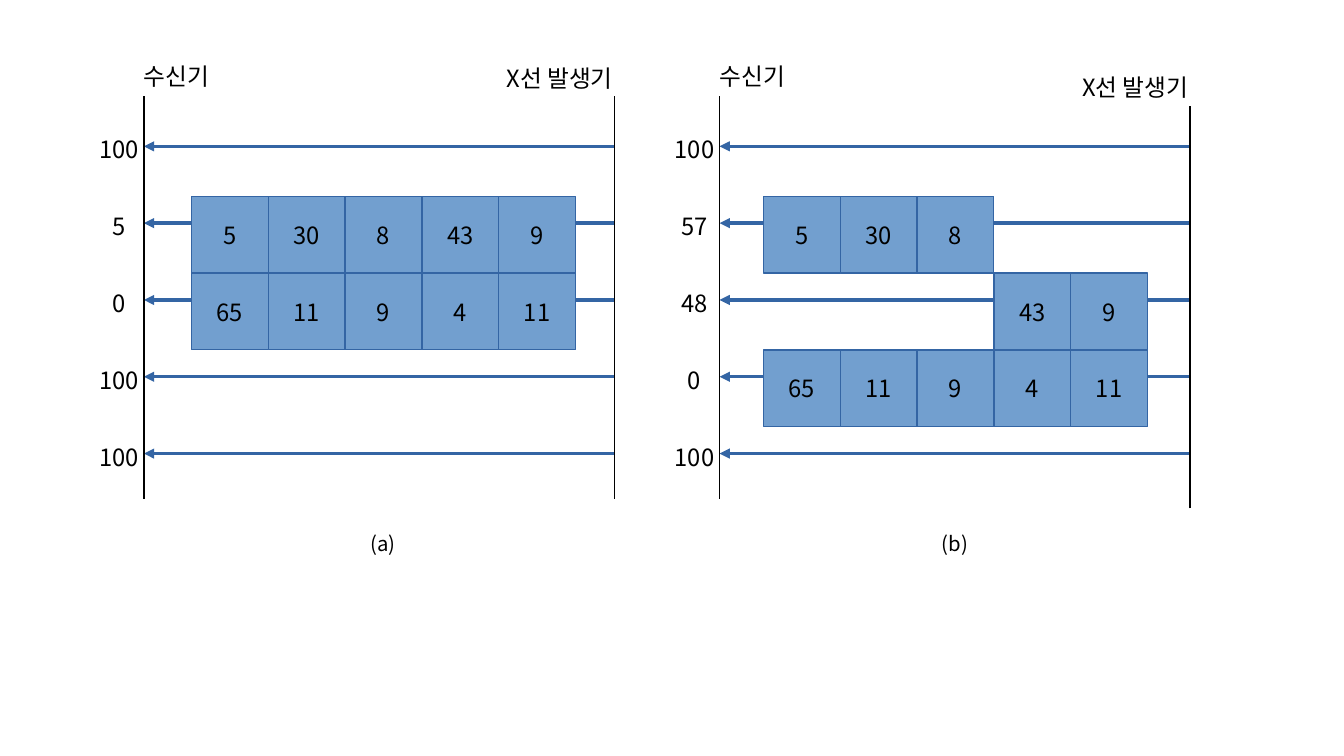
from lxml import etree
from pptx import Presentation
from pptx.dml.color import RGBColor
from pptx.enum.shapes import MSO_CONNECTOR, MSO_SHAPE
from pptx.enum.text import MSO_ANCHOR, PP_ALIGN
from pptx.oxml.ns import qn
from pptx.util import Inches, Pt

STRAIGHT = MSO_CONNECTOR.STRAIGHT
RECTANGLE = MSO_SHAPE.RECTANGLE
TOP, MIDDLE = MSO_ANCHOR.TOP, MSO_ANCHOR.MIDDLE
CENTER = PP_ALIGN.CENTER

BLACK = RGBColor(0x00, 0x00, 0x00)
CELL_BLUE = RGBColor(0x72, 0x9F, 0xCF)
RAY_BLUE = RGBColor(0x34, 0x65, 0xA4)
FONT = "Noto Sans CJK KR"

STEP = 0.63  # cell side, also the distance between rays
RAY_TOP = 1.2
CELL_TOP = 1.61
AXIS_TOP, AXIS_HEIGHT = 0.79, 3.3
LABEL_HEIGHT = 0.38


class Diagram:
    """Drawing style together with the slide being drawn."""

    def __init__(self, slide):
        self.shapes = slide.shapes

    def set_text(self, shape, text, size, anchor):
        frame = shape.text_frame
        frame.word_wrap = False
        frame.vertical_anchor = anchor
        paragraph = frame.paragraphs[0]
        paragraph.text = text
        paragraph.alignment = CENTER
        font = paragraph.font
        font.name, font.size = FONT, Pt(size)
        font.color.rgb = BLACK
        # Hangul takes its font from the East Asian slot
        defaults = paragraph._p.pPr.find(qn("a:defRPr"))
        etree.SubElement(defaults, qn("a:ea"), typeface=FONT)

    def label(self, text, left, top, width, height=LABEL_HEIGHT, size=14, anchor=TOP):
        box = self.shapes.add_textbox(
            Inches(left), Inches(top), Inches(width), Inches(height))
        self.set_text(box, text, size, anchor)

    def cell(self, text, left, top):
        square = self.shapes.add_shape(
            RECTANGLE, Inches(left), Inches(top), Inches(STEP), Inches(STEP))
        square.shadow.inherit = False
        square.fill.solid()
        square.fill.fore_color.rgb = CELL_BLUE
        square.line.color.rgb = RAY_BLUE
        square.line.width = Pt(0)
        self.set_text(square, text, 14, MIDDLE)

    def line(self, start, end, color, width, arrow=False):
        connector = self.shapes.add_connector(
            STRAIGHT, *(Inches(value) for value in start + end))
        connector.line.color.rgb = color
        connector.line.width = Pt(width)
        properties = connector._element.spPr
        if arrow:
            etree.SubElement(properties.find(qn("a:ln")),
                             qn("a:tailEnd"), type="triangle")
        etree.SubElement(properties, qn("a:effectLst"))

    def axis(self, x, top):
        self.line((x, top + AXIS_HEIGHT), (x, top), BLACK, 0.99)

    def panel(self, caption, receiver, generator, cells_left, rows, readings, drop=0):
        # Rays running from the generator to the receiver
        for index in range(len(readings)):
            y = RAY_TOP + index * STEP
            self.line((generator, y), (receiver, y), RAY_BLUE, 0, arrow=True)

        # Cells: each row lists its first column and its values
        for row, (first, values) in enumerate(rows):
            for column, value in enumerate(values, first):
                self.cell(str(value), cells_left + column * STEP,
                          CELL_TOP + row * STEP)

        # Receiver and generator
        self.axis(receiver, AXIS_TOP)
        self.axis(generator, AXIS_TOP + drop)
        self.label("수신기", receiver - 0.2, 0.43, 0.94, anchor=MIDDLE)
        self.label("X선 발생기", generator - 1.02, 0.47 + drop, 1.14)

        # Readings at the receiver
        for index, reading in enumerate(readings):
            self.label(str(reading), receiver - 0.52,
                       RAY_TOP - 0.14 + index * STEP, STEP)

        # Caption under the middle of the five columns
        self.label(caption, cells_left + 2.5 * STEP - 0.24, 4.29, 0.47, 0.34,
                   size=12, anchor=MIDDLE)


presentation = Presentation()
presentation.slide_width = Inches(11.02)
presentation.slide_height = Inches(6.2)
diagram = Diagram(presentation.slides.add_slide(presentation.slide_layouts[6]))

# Before and after the lower row drops
bottom_row = (0, [65, 11, 9, 4, 11])
diagram.panel("(a)", 1.18, 5.04, 1.57,
              [(0, [5, 30, 8, 43, 9]), bottom_row],
              [100, 5, 0, 100, 100])
diagram.panel("(b)", 5.9, 9.76, 6.26,
              [(0, [5, 30, 8]), (3, [43, 9]), bottom_row],
              [100, 57, 48, 0, 100], drop=0.08)

presentation.save("out.pptx")
